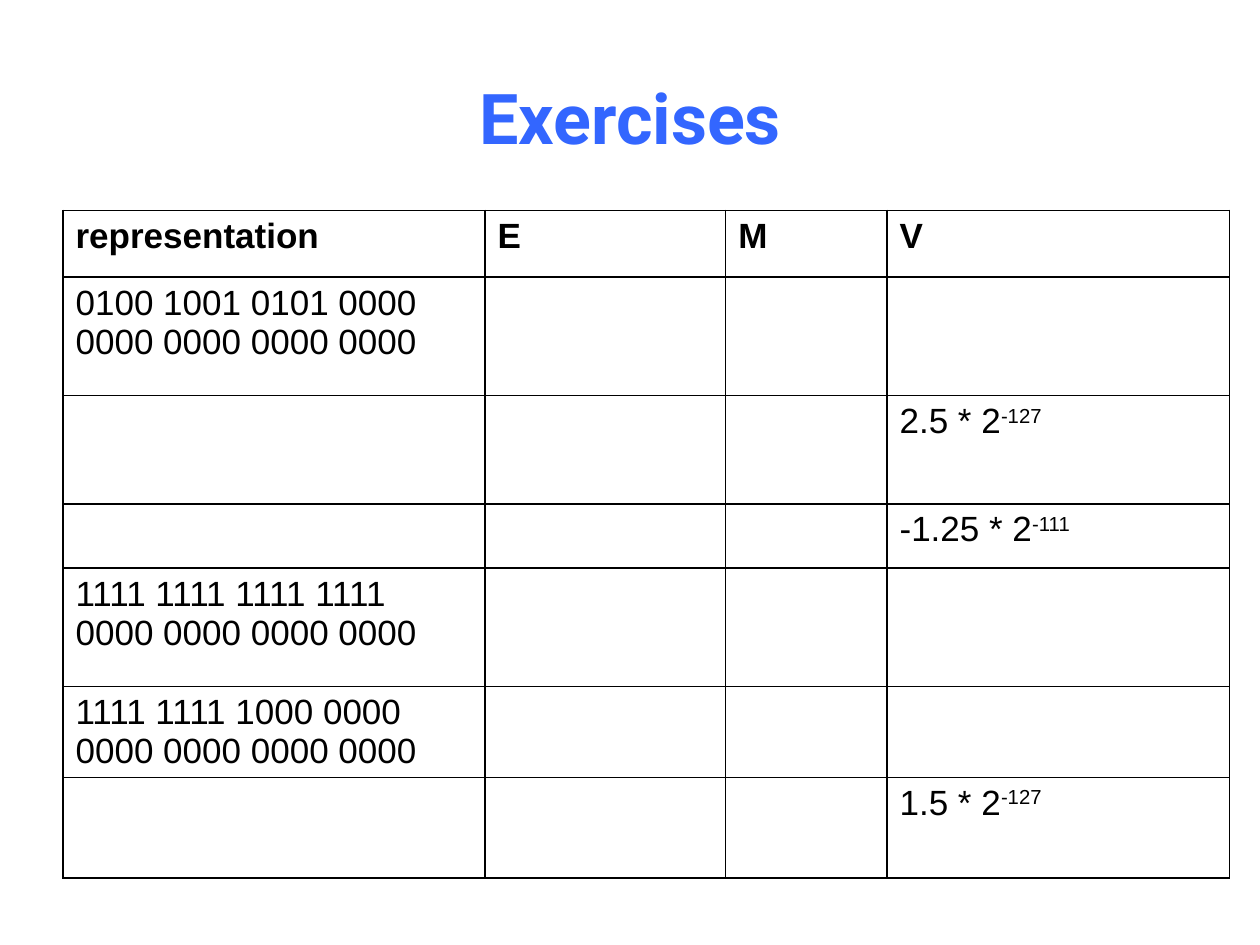
from lxml.etree import SubElement
from pptx import Presentation
from pptx.dml.color import RGBColor
from pptx.enum.text import MSO_ANCHOR, PP_ALIGN
from pptx.oxml.ns import qn
from pptx.util import Inches, Pt

WIDTH, HEIGHT = 10, 7.5
BLACK, WHITE, BLUE = "000000", "FFFFFF", "3366FF"
COLUMNS = [3.35, 1.91, 1.28, 2.72]
ROWS = [0.53, 0.94, 0.86, 0.51, 0.94, 0.57, 0.8]
HEADER = ["representation", "E", "M", "V"]

# Row number -> bit pattern lines, or value as (base, exponent)
PATTERNS = {
    1: ["0100 1001 0101 0000", "0000 0000 0000 0000"],
    4: ["1111 1111 1111 1111", "0000 0000 0000 0000"],
    5: ["1111 1111 1000 0000", "0000 0000 0000 0000"],
}
VALUES = {2: ("2.5 * 2", "-127"), 3: ("-1.25 * 2", "-111"), 6: ("1.5 * 2", "-127")}


def color(hex_value):
    return RGBColor.from_string(hex_value)


def add_run(p, text, hex_value=BLACK, superscript=False, **formats):
    r = p.add_run()
    r.text = text
    settings = {"name": "Arial", "size": Pt(20), "bold": False, **formats}
    for name, value in settings.items():
        setattr(r.font, name, value)
    r.font.color.rgb = color(hex_value)
    if superscript:
        r.font._element.set("baseline", "30000")


def add_title(slide, text):
    sp = slide.shapes.title
    box = {"left": 0.5, "top": 0.3, "width": 9, "height": 1.25}
    for name, value in box.items():
        setattr(sp, name, Inches(value))
    tf = sp.text_frame
    tf.vertical_anchor = MSO_ANCHOR.MIDDLE
    p = tf.paragraphs[0]
    p.alignment = PP_ALIGN.CENTER
    add_run(p, text, BLUE, name="Roboto", size=Pt(40), bold=True)


def style_cell(cell):
    props = cell._tc.get_or_add_tcPr()
    for side in ("lnL", "lnR", "lnT", "lnB"):
        line = SubElement(props, qn(f"a:{side}"), w=str(Pt(1)))
        fill = SubElement(line, qn("a:solidFill"))
        SubElement(fill, qn("a:srgbClr"), val=BLACK)
    cell.fill.solid()
    cell.fill.fore_color.rgb = color(WHITE)


def add_grid(slide):
    frame = slide.shapes.add_table(
        len(ROWS), len(COLUMNS), Inches(0.5), Inches(1.67),
        Inches(sum(COLUMNS)), Inches(sum(ROWS)))
    table = frame.table
    table.first_row = table.horz_banding = False
    for column, width in zip(table.columns, COLUMNS):
        column.width = Inches(width)
    for row, height in zip(table.rows, ROWS):
        row.height = Inches(height)
    for cell in table.iter_cells():
        style_cell(cell)
    return table


def fill_grid(table):
    # Header
    for i, label in enumerate(HEADER):
        add_run(table.cell(0, i).text_frame.paragraphs[0], label, bold=True)
    # Bit patterns, one paragraph per half word
    for row, lines in PATTERNS.items():
        tf = table.cell(row, 0).text_frame
        for i, line in enumerate(lines):
            add_run(tf.add_paragraph() if i else tf.paragraphs[0], line)
    # Values with raised exponents
    for row, (base, exponent) in VALUES.items():
        p = table.cell(row, len(COLUMNS) - 1).text_frame.paragraphs[0]
        add_run(p, base)
        add_run(p, exponent, superscript=True)


def main():
    prs = Presentation()
    prs.slide_width, prs.slide_height = Inches(WIDTH), Inches(HEIGHT)
    slide = prs.slides.add_slide(prs.slide_layouts[5])
    add_title(slide, "Exercises")
    fill_grid(add_grid(slide))
    prs.save("out.pptx")


if __name__ == "__main__":
    main()
